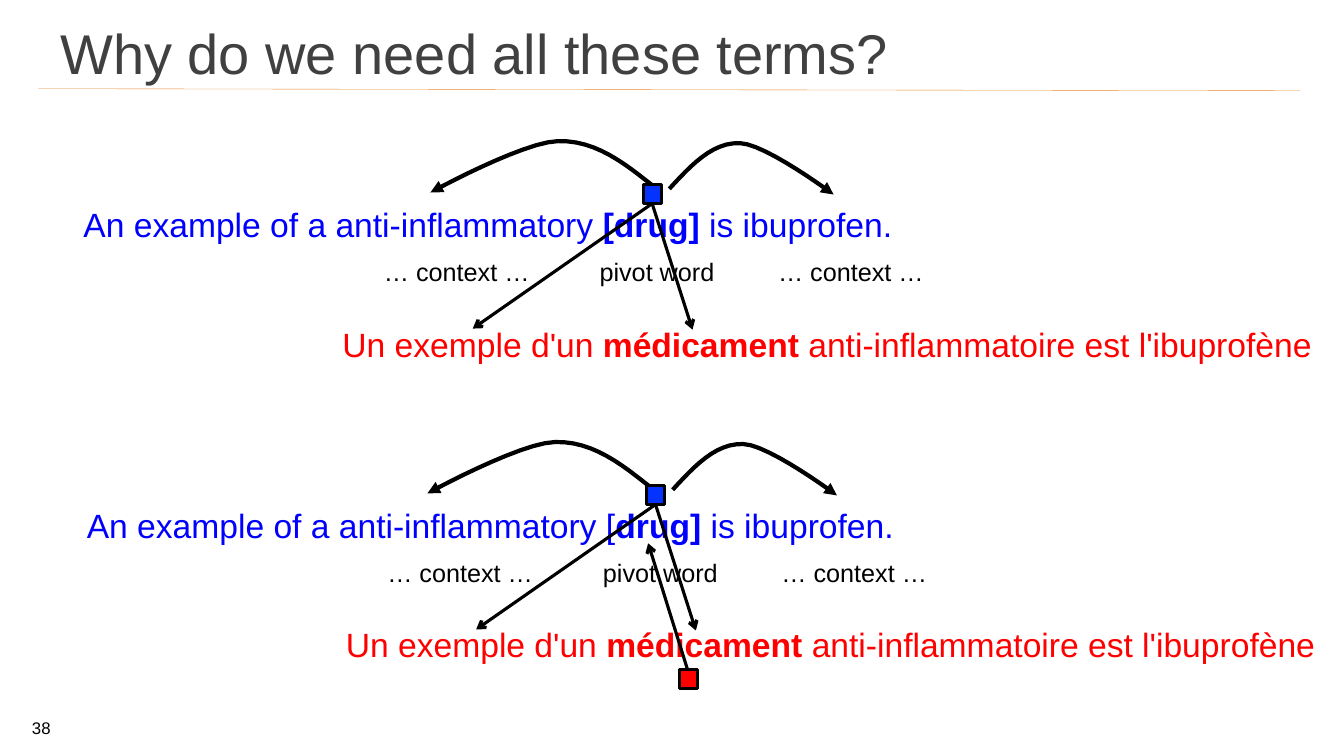
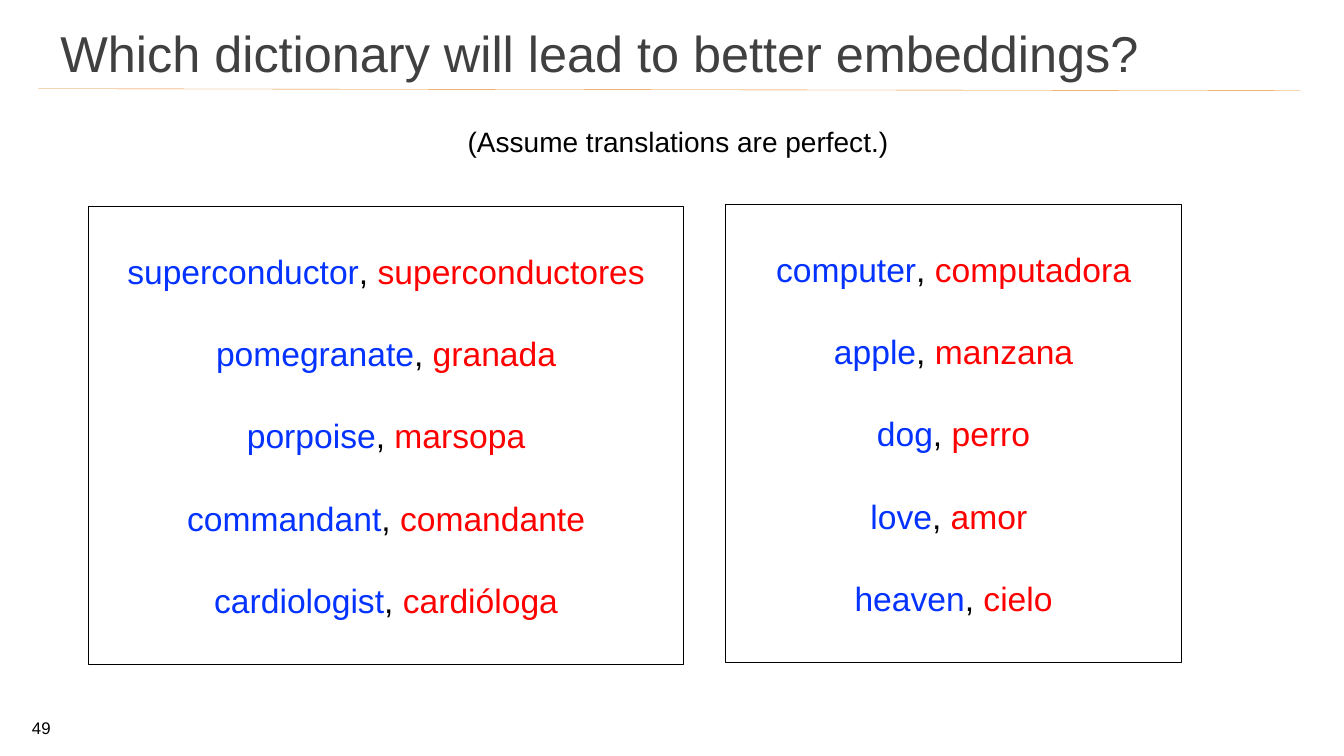
from dataclasses import dataclass

from lxml.etree import SubElement
from pptx import Presentation
from pptx.dml.color import RGBColor
from pptx.enum.shapes import MSO_CONNECTOR as Connector, MSO_SHAPE as Preset
from pptx.enum.text import MSO_ANCHOR as Anchor, MSO_AUTO_SIZE as AutoSize, PP_ALIGN as Align
from pptx.oxml.ns import qn
from pptx.util import Inches, Pt

COLUMNS, ROWS = 40, 30


@dataclass(frozen=True)
class Theme:
    font: str = "Arial"
    ink: str = "000000"
    title_ink: str = "404040"
    rule: str = "EA8A2A"
    english: str = "0000FF"
    foreign: str = "FF0000"
    marker: str = "0432FF"
    title: int = 40
    long_title: int = 36
    body: int = 24
    note: int = 20
    label: int = 18
    number: int = 12
    hairline: float = 0.25
    frame: float = 0.75
    arrow: float = 2.25
    arc: float = 3


def set_all(target, values):
    for name, value in values.items():
        setattr(target, name, value)


def bezier(start, first, second, end, steps=12):
    """Points along a cubic curve, without its start."""
    for step in range(1, steps + 1):
        t = step / steps
        weights = ((1 - t) ** 3, 3 * t * (1 - t) ** 2, 3 * t * t * (1 - t), t ** 3)
        yield tuple(sum(weight * point[axis] for weight, point in
                        zip(weights, (start, first, second, end))) for axis in (0, 1))


# Unit arc: rises from the pivot, then falls to the context word
ARC_START, ARC_PEAK, ARC_END = (0, 0.89), (0.43, 0), (1, 1)
ARC = [ARC_START,
       *bezier(ARC_START, (0.13, 0.44), (0.26, -0.02), ARC_PEAK),
       *bezier(ARC_PEAK, (0.59, 0.02), ARC_END, ARC_END)]


class Deck:
    def __init__(self, theme):
        self.theme = theme
        self.presentation = Presentation()
        set_all(self.presentation, {"slide_width": Inches(13.33), "slide_height": Inches(7.5)})
        self.slide = None

    # Grid
    def across(self, columns):
        return round(self.presentation.slide_width * columns / COLUMNS)

    def down(self, rows):
        return round(self.presentation.slide_height * rows / ROWS)

    def place(self, *cells):
        return [(self.down if index % 2 else self.across)(cell)
                for index, cell in enumerate(cells)]

    # Styling
    def stroke(self, shape, color, width, head=None):
        shape.line.color.rgb = RGBColor.from_string(color)
        shape.line.width = Pt(width)
        if head:
            SubElement(shape.element.spPr.find(qn("a:ln")), qn("a:tailEnd"), type=head)

    def fill_frame(self, frame, paragraphs, size, align=Align.LEFT, gap=0):
        """Each paragraph is a list of (text, color, bold) runs."""
        for index, runs in enumerate(paragraphs):
            paragraph = frame.add_paragraph() if index else frame.paragraphs[0]
            paragraph.alignment = align
            if index and gap:
                paragraph.space_before = Pt(gap)
            for text, color, bold in runs:
                run = paragraph.add_run()
                run.text = text
                set_all(run.font, {"name": self.theme.font, "size": Pt(size), "bold": bold})
                run.font.color.rgb = RGBColor.from_string(color)

    # Elements
    def new_slide(self, title, number, title_size):
        theme = self.theme
        self.slide = self.presentation.slides.add_slide(self.presentation.slide_layouts[6])
        self.line((1.14, 3.52), (38.7, 3.6), theme.rule, theme.hairline)
        self.text((1.5, 0.92, 34.77, 2.32), [(title, theme.title_ink, False)], title_size,
                  vertical_anchor=Anchor.MIDDLE, auto_size=AutoSize.NONE)
        self.text((0.39, 28.48, 1.68, 1), [(number, theme.ink, False)], theme.number,
                  Align.CENTER, vertical_anchor=Anchor.BOTTOM, auto_size=AutoSize.NONE)

    def text(self, box, runs, size, align=Align.LEFT, **layout):
        frame = self.slide.shapes.add_textbox(*self.place(*box)).text_frame
        set_all(frame, {"word_wrap": False, "auto_size": AutoSize.SHAPE_TO_FIT_TEXT} | layout)
        self.fill_frame(frame, [runs], size, align)

    def line(self, start, end, color, width, head=None):
        connector = self.slide.shapes.add_connector(
            Connector.STRAIGHT, *self.place(*start, *end))
        self.stroke(connector, color, width, head)
        SubElement(connector.element.spPr, qn("a:effectLst"))

    def arrow(self, start, end):
        self.line(start, end, self.theme.ink, self.theme.arrow, "arrow")

    def arc(self, left, top, span, height):
        """A negative span points the arc to the left."""
        points = [self.place(left + span * x, top + height * y) for x, y in ARC]
        builder = self.slide.shapes.build_freeform(*points[0])
        builder.add_line_segments(points[1:], close=False)
        shape = builder.convert_to_shape()
        shape.shadow.inherit = False
        shape.fill.background()
        self.stroke(shape, self.theme.ink, self.theme.arc, "triangle")

    def rectangle(self, box, width, fill=None):
        shape = self.slide.shapes.add_shape(Preset.RECTANGLE, *self.place(*box))
        shape.shadow.inherit = False
        if fill:
            shape.fill.solid()
            shape.fill.fore_color.rgb = RGBColor.from_string(fill)
        else:
            shape.fill.background()
        self.stroke(shape, self.theme.ink, width)
        return shape

    def marker(self, left, top, fill):
        self.rectangle((left, top, 0.54, 0.76), self.theme.arrow, fill)

    def example(self, x, y, opening, pivot, arc_shift=0):
        """A sentence pair with the links from its pivot word."""
        theme = self.theme
        self.text((x + 2.19, y + 7.88, 25.74, 2),
                  [(opening, theme.english, False), (pivot, theme.english, True),
                   ("is ibuprofen.", theme.english, False)], theme.body)
        self.text((x + 9.75, y + 12.64, 29.73, 2),
                  [("Un exemple d'un ", theme.foreign, False),
                   ("médicament", theme.foreign, True),
                   (" anti-inflammatoire est l'ibuprofène", theme.foreign, False)],
                  theme.body, Align.CENTER)
        for left, width, label in ((17.55, 4.05, "pivot word"), (22.86, 4.98, "… context …"),
                                   (11.13, 4.98, "… context …")):
            self.text((x + left, y + 9.98, width, 1.6), [(label, theme.ink, False)], theme.label)
        for end in ((14.07, 13.04), (20.61, 13.08)):
            self.arrow((x + 19.41, y + 8.08), (x + end[0], y + end[1]))
        self.arc(x + 19.47 + arc_shift, y + 5.6, -6.66, 2.04)
        self.arc(x + 19.92, y + 5.68, 4.89, 2.04)
        self.marker(x + 19.14, y + 7.32, theme.marker)

    def dictionary(self, left, top, width, pairs):
        theme = self.theme
        frame = self.rectangle((left, top, width, 18.16), theme.frame).text_frame
        set_all(frame, {"word_wrap": False, "vertical_anchor": Anchor.MIDDLE})
        entries = [[(word, theme.marker, False), (", ", theme.ink, False),
                    (translation, theme.foreign, False)] for word, translation in pairs]
        self.fill_frame(frame, entries, theme.body, Align.CENTER, gap=30)


def main():
    theme = Theme()
    deck = Deck(theme)

    # Terms: one-way links above, links in both directions below
    deck.new_slide("Why do we need all these terms?", "38", theme.title)
    deck.example(0, 0, "An example of a anti-inflammatory ", "[drug] ")
    deck.example(0.1, 11.94, "An example of a anti-inflammatory [", "drug] ", arc_shift=-0.19)
    deck.arrow((20.46, 26.56), (19.29, 21.56))
    deck.marker(20.22, 26.56, theme.foreign)

    # Dictionaries: rare words against common words
    deck.new_slide("Which dictionary will lead to better embeddings?", "49", theme.long_title)
    deck.dictionary(2.64, 8.2, 17.7, [
        ("superconductor", "superconductores"), ("pomegranate", "granada"),
        ("porpoise", "marsopa"), ("commandant", "comandante"),
        ("cardiologist", "cardióloga")])
    deck.dictionary(21.6, 8.12, 13.56, [
        ("computer", "computadora"), ("apple", "manzana"), ("dog", "perro"),
        ("love", "amor "), ("heaven", "cielo")])
    deck.text((13.62, 4.76, 13.23, 1.76),
              [("(Assume translations are perfect.)", theme.ink, False)], theme.note)

    deck.presentation.save("out.pptx")


if __name__ == "__main__":
    main()
